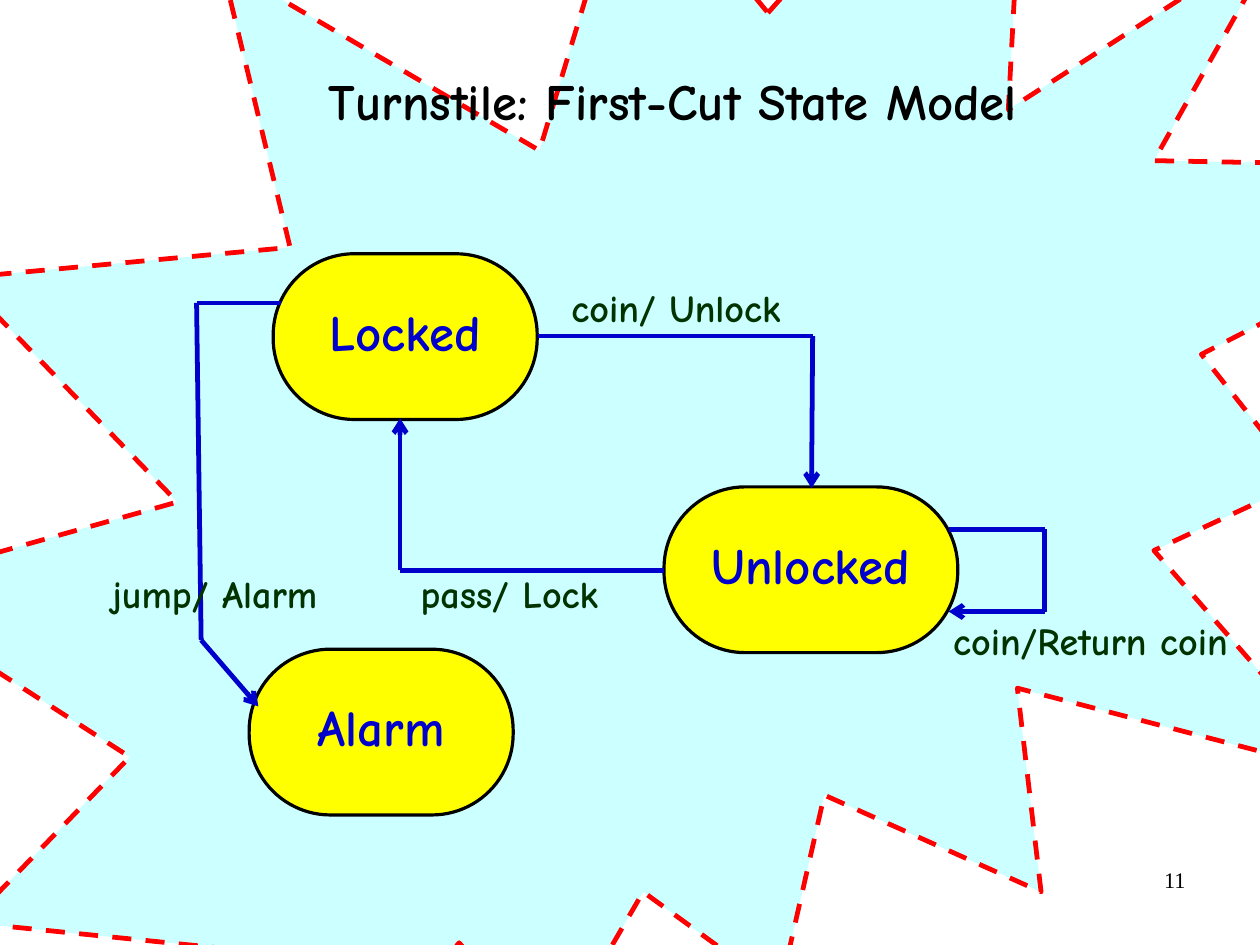
from collections import namedtuple
from itertools import pairwise

from lxml.etree import SubElement
from pptx import Presentation
from pptx.dml.color import RGBColor
from pptx.enum.dml import MSO_LINE
from pptx.enum.shapes import MSO_CONNECTOR, MSO_SHAPE
from pptx.enum.text import MSO_ANCHOR, MSO_AUTO_SIZE, PP_ALIGN
from pptx.oxml.ns import qn
from pptx.util import Inches, Pt

Box = namedtuple("Box", "left top width height")

BLACK = RGBColor(0x00, 0x00, 0x00)
BLUE = RGBColor(0x00, 0x00, 0xCC)
GREEN = RGBColor(0x00, 0x33, 0x00)
YELLOW = RGBColor(0xFF, 0xFF, 0x00)
RED = RGBColor(0xFF, 0x00, 0x00)
PALE_CYAN = RGBColor(0xCC, 0xFF, 0xFF)

COMIC = {"name": "Comic Neue", "bold": True}
TITLE_FONT = {**COMIC, "size": Pt(32)}
STATE_FONT = {**COMIC, "size": Pt(32)}
LABEL_FONT = {**COMIC, "size": Pt(24)}
NUMBER_FONT = {"name": "Times New Roman", "size": Pt(14), "bold": False}

FRAME_INSETS = {
    "margin_left": Inches(0.1), "margin_right": Inches(0.1),
    "margin_top": Inches(0.05), "margin_bottom": Inches(0.05),
}
DIAGRAM_INSETS = {
    "margin_left": Inches(0.11), "margin_right": Inches(0.11),
    "margin_top": Inches(0.06), "margin_bottom": Inches(0.06),
}
TITLE_FRAME = {
    **FRAME_INSETS, "word_wrap": True, "vertical_anchor": MSO_ANCHOR.TOP,
    "auto_size": MSO_AUTO_SIZE.NONE,
}
NUMBER_FRAME = {**FRAME_INSETS, "word_wrap": True}
STATE_FRAME = {
    **DIAGRAM_INSETS, "word_wrap": True, "vertical_anchor": MSO_ANCHOR.MIDDLE,
}
LABEL_FRAME = {
    **DIAGRAM_INSETS, "word_wrap": False,
    "auto_size": MSO_AUTO_SIZE.SHAPE_TO_FIT_TEXT,
}

CM_PER_INCH = 2.54
SLIDE_WIDTH = Inches(28 / CM_PER_INCH)
SLIDE_HEIGHT = Inches(21 / CM_PER_INCH)
STATE_HEIGHT = 1.45
LABEL_HEIGHT = 0.43
STATES = [
    ("Alarm", 1.31, 3.46, 2.31),
    ("Locked", 1.52, 0, 2.31),
    ("Unlocked", 4.94, 2.04, 2.57),
]
TRANSITIONS = [
    [(3.84, 0.72), (6.24, 0.72), (6.23, 2.05)],
    [(4.94, 2.77), (2.63, 2.77), (2.63, 1.44)],
    [(1.59, 0.43), (0.85, 0.43), (0.89, 3.38), (1.39, 3.96)],
    [(7.43, 2.41), (8.27, 2.41), (8.27, 3.13), (7.43, 3.13)],
]
LABELS = [
    ("coin/ Unlock", 4.02, 0.29, 2.05),
    ("jump/ Alarm", 0, 2.79, 2.02),
    ("pass/ Lock", 2.7, 2.79, 1.79),
    ("coin/Return coin", 7.36, 3.2, 2.64),
]


def apply_format(target, values):
    for name, value in values.items():
        setattr(target, name, value)


def in_inches(box):
    return [Inches(length) for length in box]


def write_text(shape, text, frame_format, para_format, font_format, color):
    frame = shape.text_frame
    apply_format(frame, frame_format)
    para = frame.paragraphs[0]
    apply_format(para, para_format)
    span = para.add_run()
    span.text = text
    apply_format(span.font, font_format)
    span.font.color.rgb = color


def add_filled_shape(slide, kind, box, fill, line_color, line_width):
    shape = slide.shapes.add_shape(kind, *in_inches(box))
    shape.shadow.inherit = False
    shape.fill.solid()
    shape.fill.fore_color.rgb = fill
    shape.line.color.rgb = line_color
    shape.line.width = Pt(line_width)
    return shape


def add_page_number(slide, box):
    number = slide.shapes.add_textbox(*in_inches(box))
    write_text(number, "11", NUMBER_FRAME, {"alignment": PP_ALIGN.RIGHT},
               NUMBER_FONT, BLACK)


def add_burst(slide, box):
    burst = add_filled_shape(slide, MSO_SHAPE.EXPLOSION2, box, PALE_CYAN, RED, 3)
    burst.line.dash_style = MSO_LINE.DASH


def add_state(slide, name, box):
    state = add_filled_shape(slide, MSO_SHAPE.ROUNDED_RECTANGLE, box, YELLOW, BLACK, 2)
    state.adjustments[0] = 0.49
    write_text(state, name, STATE_FRAME,
               {"alignment": PP_ALIGN.CENTER, "line_spacing": 0.8}, STATE_FONT, BLUE)


def add_transition(slide, points):
    for start, end in pairwise(points):
        segment = slide.shapes.add_connector(
            MSO_CONNECTOR.STRAIGHT, *in_inches(start), *in_inches(end))
        segment.line.color.rgb = BLUE
        segment.line.width = Pt(3)
        SubElement(segment.element.spPr, qn("a:effectLst"))
    outline = segment.element.spPr.find(qn("a:ln"))
    SubElement(outline, qn("a:tailEnd"), type="arrow")


def add_label(slide, text, box):
    label = slide.shapes.add_textbox(*in_inches(box))
    write_text(label, text, LABEL_FRAME,
               {"alignment": PP_ALIGN.LEFT, "line_spacing": 0.8}, LABEL_FONT, GREEN)


def add_state_diagram(slide, box):
    for name, x, y, width in STATES:
        add_state(slide, name, Box(box.left + x, box.top + y, width, STATE_HEIGHT))
    for points in TRANSITIONS:
        add_transition(slide, [(box.left + x, box.top + y) for x, y in points])
    for text, x, y, width in LABELS:
        add_label(slide, text, Box(box.left + x, box.top + y, width, LABEL_HEIGHT))


def add_title(slide, box):
    title = slide.shapes.title
    left, top, width, height = in_inches(box)
    apply_format(title, {"left": left, "top": top, "width": width, "height": height})
    write_text(title, "Turnstile: First-Cut State Model", TITLE_FRAME,
               {"alignment": PP_ALIGN.CENTER, "line_spacing": 0.88}, TITLE_FONT, BLACK)
    slide.shapes.element.append(title.element)


def main():
    deck = Presentation()
    deck.slide_width = SLIDE_WIDTH
    deck.slide_height = SLIDE_HEIGHT
    page = deck.slides.add_slide(deck.slide_layouts.get_by_name("Title Only"))
    add_page_number(page, Box(7.9, 7.53, 2.57, 0.57))
    add_burst(page, Box(-1.15, -2.45, 14.83, 12.75))
    add_state_diagram(page, Box(0.87, 2.22, 9.98, 4.91))
    add_title(page, Box(0.76, 0.63, 10.26, 1.22))
    deck.save("out.pptx")


if __name__ == "__main__":
    main()
